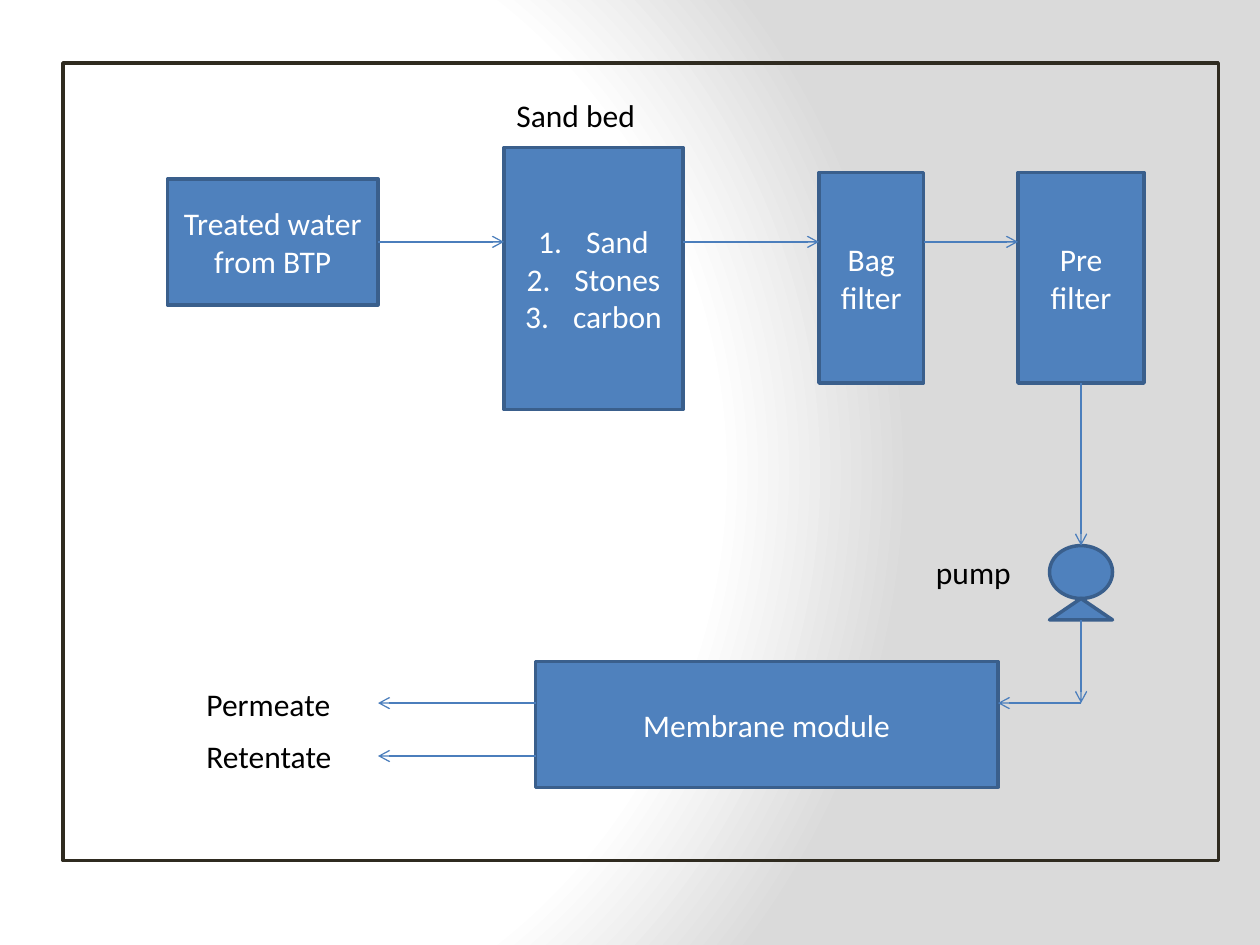
from typing import NamedTuple

from lxml import etree
from pptx import Presentation
from pptx.dml.color import RGBColor
from pptx.enum.shapes import MSO_CONNECTOR, MSO_SHAPE
from pptx.enum.text import MSO_ANCHOR, MSO_AUTO_SIZE, PP_ALIGN
from pptx.oxml import parse_xml
from pptx.oxml.ns import nsdecls, qn
from pptx.util import Inches, Pt

RECTANGLE = MSO_SHAPE.RECTANGLE
OVAL = MSO_SHAPE.OVAL
TRIANGLE = MSO_SHAPE.ISOSCELES_TRIANGLE
STRAIGHT = MSO_CONNECTOR.STRAIGHT
MIDDLE = MSO_ANCHOR.MIDDLE
GROW = MSO_AUTO_SIZE.SHAPE_TO_FIT_TEXT
CENTER, LEFT = PP_ALIGN.CENTER, PP_ALIGN.LEFT

BLUE = RGBColor(0x4F, 0x81, 0xBD)
DARK_BLUE = RGBColor(0x3A, 0x5F, 0x8C)
ARROW_BLUE = RGBColor(0x4B, 0x7E, 0xBC)
FRAME_COLOR = RGBColor(0x2F, 0x2B, 0x20)
WHITE = RGBColor(0xFF, 0xFF, 0xFF)
BLACK = RGBColor(0, 0, 0)

FLOW_Y = 1.92
PUMP_X = 8.58
PERMEATE_Y = 5.58
RETENTATE_Y = 6
LIST_INDENT = Inches(0.38)


class Unit(NamedTuple):
    left: float
    top: float
    width: float
    height: float
    lines: tuple[str, ...] = ()
    kind: MSO_SHAPE = RECTANGLE


class Label(NamedTuple):
    text: str
    left: float
    top: float
    width: float


class Flow(NamedTuple):
    start: tuple[float, float]
    end: tuple[float, float]


UNITS = [
    Unit(1.33, 1.42, 1.67, 1, ("Treated water from BTP",)),
    Unit(4, 1.17, 1.42, 2.08, ("Sand", "Stones", "carbon")),
    Unit(6.5, 1.37, 0.83, 1.67, ("Bag filter",)),
    Unit(8.08, 1.37, 1, 1.67, ("Pre filter",)),
    Unit(8.33, 4.33, 0.5, 0.42, kind=OVAL),
    Unit(8.33, 4.75, 0.5, 0.17, kind=TRIANGLE),
    Unit(4.25, 5.25, 3.67, 1, ("Membrane module",)),
]
LABELS = [
    Label("Sand bed", 4, 0.71, 1.25),
    Label("pump", 7.33, 4.34, 0.92),
    Label("Permeate", 1.54, 5.39, 1.42),
    Label("Retentate", 1.54, 5.8, 1.33),
]
FLOWS = [
    Flow((3, FLOW_Y), (4, FLOW_Y)),
    Flow((5.42, FLOW_Y), (6.5, FLOW_Y)),
    Flow((7.33, FLOW_Y), (8.08, FLOW_Y)),
    Flow((PUMP_X, 3.04), (PUMP_X, 4.33)),
    Flow((PUMP_X, 4.92), (PUMP_X, PERMEATE_Y)),
    Flow((PUMP_X, PERMEATE_Y), (7.92, PERMEATE_Y)),
    Flow((4.25, PERMEATE_Y), (3, PERMEATE_Y)),
    Flow((4.25, RETENTATE_Y), (3, RETENTATE_Y)),
]


def paint_background(page) -> None:
    page.background.fill.gradient()
    old = page.element.find(".//" + qn("a:gradFill"))
    stops = "".join(
        f'<a:gs pos="{position}"><a:srgbClr val="{color}"/></a:gs>'
        for position, color in ((0, "FFFFFF"), (75000, "FFFFFF"), (100000, "DADADA"))
    )
    old.getparent().replace(old, parse_xml(
        f'<a:gradFill {nsdecls("a")} rotWithShape="1"><a:gsLst>{stops}</a:gsLst>'
        '<a:path path="circle"><a:fillToRect l="20000" t="50000" r="100000" b="50000"/>'
        '</a:path></a:gradFill>'
    ))


def write_lines(frame, lines: tuple[str, ...], color: RGBColor, align: PP_ALIGN) -> None:
    frame.word_wrap = True
    for index, line in enumerate(lines):
        para = frame.paragraphs[0] if index == 0 else frame.add_paragraph()
        para.text = line
        para.alignment = align
        para.font.name = "Calibri"
        para.font.size = Pt(18)
        para.font.color.rgb = color
        if len(lines) > 1:
            properties = para._p.get_or_add_pPr()
            properties.set("marL", str(LIST_INDENT))
            properties.set("indent", str(-LIST_INDENT))
            numbering = etree.Element(qn("a:buAutoNum"), type="arabicPeriod")
            properties.insert(0, numbering)


def add_outlined(page, unit: Unit, line_color: RGBColor):
    box = page.shapes.add_shape(
        unit.kind, Inches(unit.left), Inches(unit.top), Inches(unit.width), Inches(unit.height)
    )
    box.shadow.inherit = False
    box.line.color.rgb = line_color
    box.line.width = Pt(2)
    return box


def add_unit(page, unit: Unit) -> None:
    box = add_outlined(page, unit, DARK_BLUE)
    box.fill.solid()
    box.fill.fore_color.rgb = BLUE
    box.text_frame.vertical_anchor = MIDDLE
    write_lines(box.text_frame, unit.lines, WHITE, CENTER)


def add_label(page, label: Label) -> None:
    box = page.shapes.add_textbox(
        Inches(label.left), Inches(label.top), Inches(label.width), Inches(0.4)
    )
    write_lines(box.text_frame, (label.text,), BLACK, LEFT)
    box.text_frame.auto_size = GROW


def add_flow(page, flow: Flow) -> None:
    points = [Inches(value) for value in flow.start + flow.end]
    arrow = page.shapes.add_connector(STRAIGHT, *points)
    arrow.line.color.rgb = ARROW_BLUE
    arrow.line.width = Pt(0.75)
    etree.SubElement(arrow.line._get_or_add_ln(), qn("a:tailEnd"), type="arrow")
    etree.SubElement(arrow._element.spPr, qn("a:effectLst"))


deck = Presentation()
deck.slide_width, deck.slide_height = Inches(10), Inches(7.5)
page = deck.slides.add_slide(deck.slide_layouts[6])
paint_background(page)

# Process units, with the pump as an oval on a triangle
for unit in UNITS:
    add_unit(page, unit)

# Flow arrows
for flow in FLOWS:
    add_flow(page, flow)

# Labels
for label in LABELS:
    add_label(page, label)

# Frame around the diagram
frame_box = add_outlined(page, Unit(0.5, 0.5, 9.17, 6.33), FRAME_COLOR)
frame_box.fill.background()

deck.save("out.pptx")
